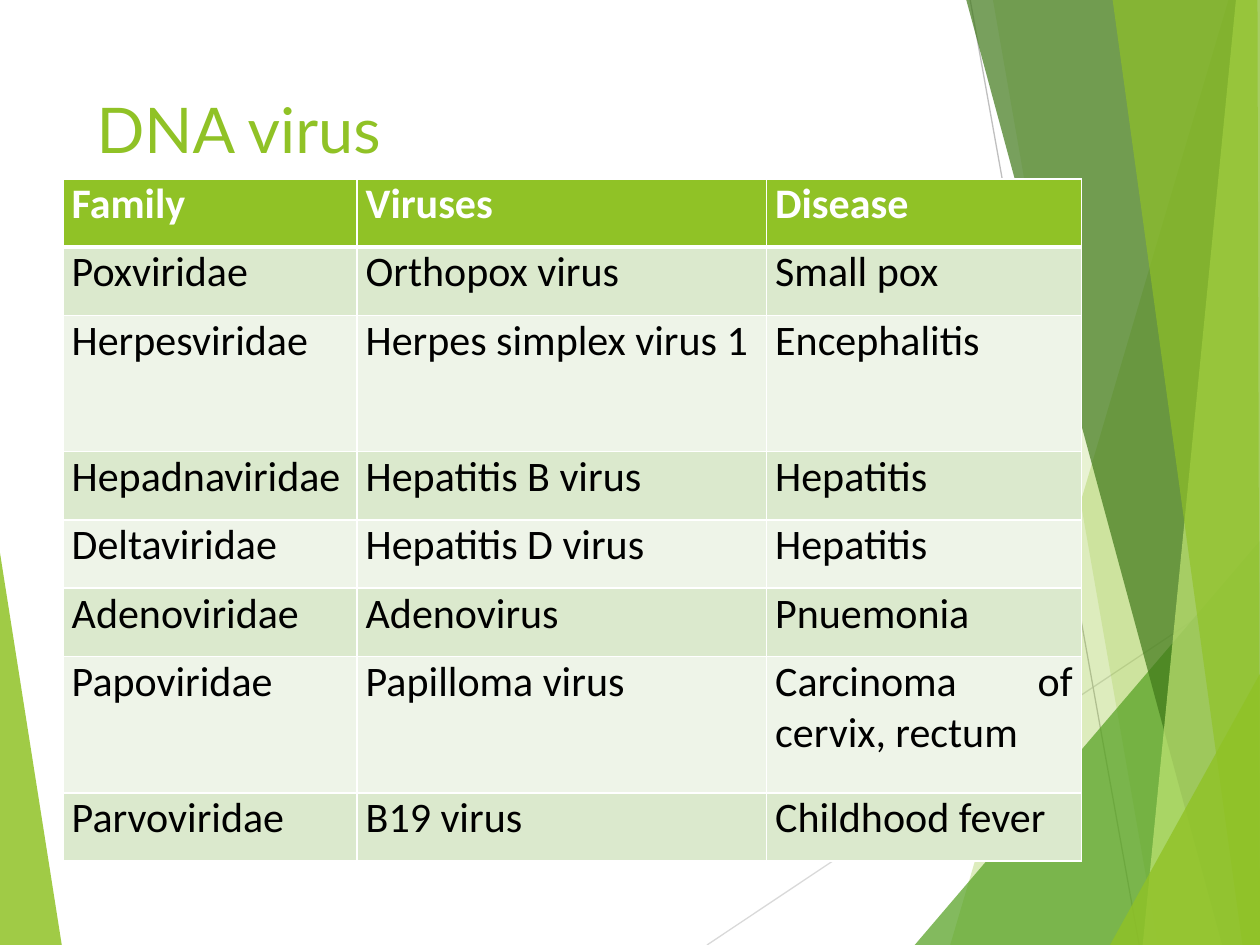
from lxml.etree import SubElement
from pptx import Presentation
from pptx.dml.color import RGBColor
from pptx.enum.shapes import MSO_CONNECTOR
from pptx.enum.text import MSO_ANCHOR, PP_ALIGN
from pptx.oxml.ns import qn
from pptx.util import Pt

COLORS = {
    "lime": "90C226", "green": "54A021", "forest": "3F7819", "pale": "C0E474",
    "light_rule": "D9D9D9", "dark_rule": "BFBFBF",
    "white": "FFFFFF", "black": "000000",
    "odd_row": "DBE9CD", "even_row": "EEF4E8",
}
PAGE = (0, 0, 720, 540)
TITLE_BOX = (48, 48, 500, 104)
TABLE_BOX = (36, 102.2, 582, 390)

RULES = [
    ("light_rule", (404, 540), (720, 329)),
    ("dark_rule", (554.4, 0), (651, 540)),
]
# Colour, opacity in percent, corner points
FACETS = [
    ("lime", 85, [(0, 316), (35.3, 540), (0, 540)]),
    ("lime", 30, [(702, 0), (543, 540), (720, 540), (720, 0)]),
    ("lime", 20, [(567.4, 0), (661.7, 540), (720, 540), (720, 0)]),
    ("green", 72, [(522.7, 540), (720, 309), (720, 540)]),
    ("forest", 70, [(552.2, 0), (698.4, 540), (720, 540), (720, 0)]),
    ("pale", 70, [(706.3, 0), (653, 540), (720, 540), (720, 0)]),
    ("lime", 65, [(635.8, 0), (710, 540), (720, 540), (718.6, 0)]),
    ("lime", 80, [(634.3, 540), (720, 385), (720, 540)]),
]

COLUMN_WIDTHS = (168, 234, 180)
ROW_UNITS = (1, 1, 2, 1, 1, 1, 2, 1)
VIRUSES = [
    ("Family", "Viruses", "Disease"),
    ("Poxviridae", "Orthopox virus", "Small pox"),
    ("Herpesviridae", "Herpes simplex virus 1", "Encephalitis"),
    ("Hepadnaviridae", "Hepatitis B virus", "Hepatitis"),
    ("Deltaviridae", "Hepatitis D virus", "Hepatitis"),
    ("Adenoviridae", "Adenovirus", "Pnuemonia"),
    ("Papoviridae", "Papilloma virus", "Carcinoma of cervix, rectum"),
    ("Parvoviridae", "B19 virus", "Childhood fever"),
]


def rgb(name):
    return RGBColor.from_string(COLORS[name])


def add_rule(page, color, start, end):
    ends = [Pt(value) for value in (*start, *end)]
    rule = page.shapes.add_connector(MSO_CONNECTOR.STRAIGHT, *ends)
    rule.line.color.rgb = rgb(color)
    rule.line.width = Pt(0.75)
    SubElement(rule._element.spPr, qn("a:effectLst"))


def add_facet(page, color, opacity, corners):
    points = [(Pt(x), Pt(y)) for x, y in corners]
    builder = page.shapes.build_freeform(*points[0])
    builder.add_line_segments(points[1:], close=True)
    facet = builder.convert_to_shape()
    facet.shadow.inherit = False
    facet.line.fill.background()
    facet.fill.solid()
    facet.fill.fore_color.rgb = rgb(color)
    tint = facet._element.spPr.find(f".//{qn('a:srgbClr')}")
    SubElement(tint, qn("a:alpha"), val=str(opacity * 1000))


def add_backdrop(page, box):
    left, top = box[:2]

    def shift(point):
        return left + point[0], top + point[1]

    for color, start, end in RULES:
        add_rule(page, color, shift(start), shift(end))
    for color, opacity, corners in FACETS:
        add_facet(page, color, opacity, [shift(corner) for corner in corners])


def add_title(page, box):
    title = page.shapes.title
    title.left, title.top, title.width, title.height = map(Pt, box)
    frame = title.text_frame
    frame.text = "DNA virus"
    frame.word_wrap = True
    frame.vertical_anchor = MSO_ANCHOR.TOP
    para = frame.paragraphs[0]
    para.alignment = PP_ALIGN.LEFT
    para.font.name = "Lato"
    para.font.size = Pt(36)
    para.font.color.rgb = rgb("lime")


def set_borders(cell, top, bottom):
    """Draw white borders; only top and bottom widths vary."""
    properties = cell._tc.get_or_add_tcPr()
    for side, width in (("L", 1), ("R", 1), ("T", top), ("B", bottom)):
        line = SubElement(properties, qn(f"a:ln{side}"), w=str(Pt(width)))
        fill = SubElement(line, qn("a:solidFill"))
        SubElement(fill, qn("a:srgbClr"), val=COLORS["white"])


def format_cell(cell, text, row_index):
    is_header = row_index == 0
    set_borders(cell, 3 if row_index == 1 else 1, 3 if is_header else 1)
    cell.fill.solid()
    band = "odd_row" if row_index % 2 else "even_row"
    cell.fill.fore_color.rgb = rgb("lime" if is_header else band)
    cell.margin_left = cell.margin_right = Pt(5)
    cell.margin_top = cell.margin_bottom = 0
    cell.text = text
    para = cell.text_frame.paragraphs[0]
    para.alignment = PP_ALIGN.JUSTIFY
    para.font.name = "Calibri"
    para.font.size = Pt(24)
    para.font.bold = is_header
    para.font.color.rgb = rgb("white" if is_header else "black")


def add_virus_table(page, box):
    frame = page.shapes.add_table(len(VIRUSES), len(COLUMN_WIDTHS), *map(Pt, box))
    table = frame.table
    for column, width in zip(table.columns, COLUMN_WIDTHS):
        column.width = Pt(width)
    unit = box[3] / sum(ROW_UNITS)
    for row_index, (row, units) in enumerate(zip(table.rows, ROW_UNITS)):
        row.height = Pt(unit * units)
        for cell, text in zip(row.cells, VIRUSES[row_index]):
            format_cell(cell, text, row_index)


def main():
    deck = Presentation()
    deck.slide_width, deck.slide_height = Pt(PAGE[2]), Pt(PAGE[3])
    page = deck.slides.add_slide(deck.slide_layouts.get_by_name("Title Only"))
    add_backdrop(page, PAGE)
    add_title(page, TITLE_BOX)
    add_virus_table(page, TABLE_BOX)
    deck.save("out.pptx")


if __name__ == "__main__":
    main()
